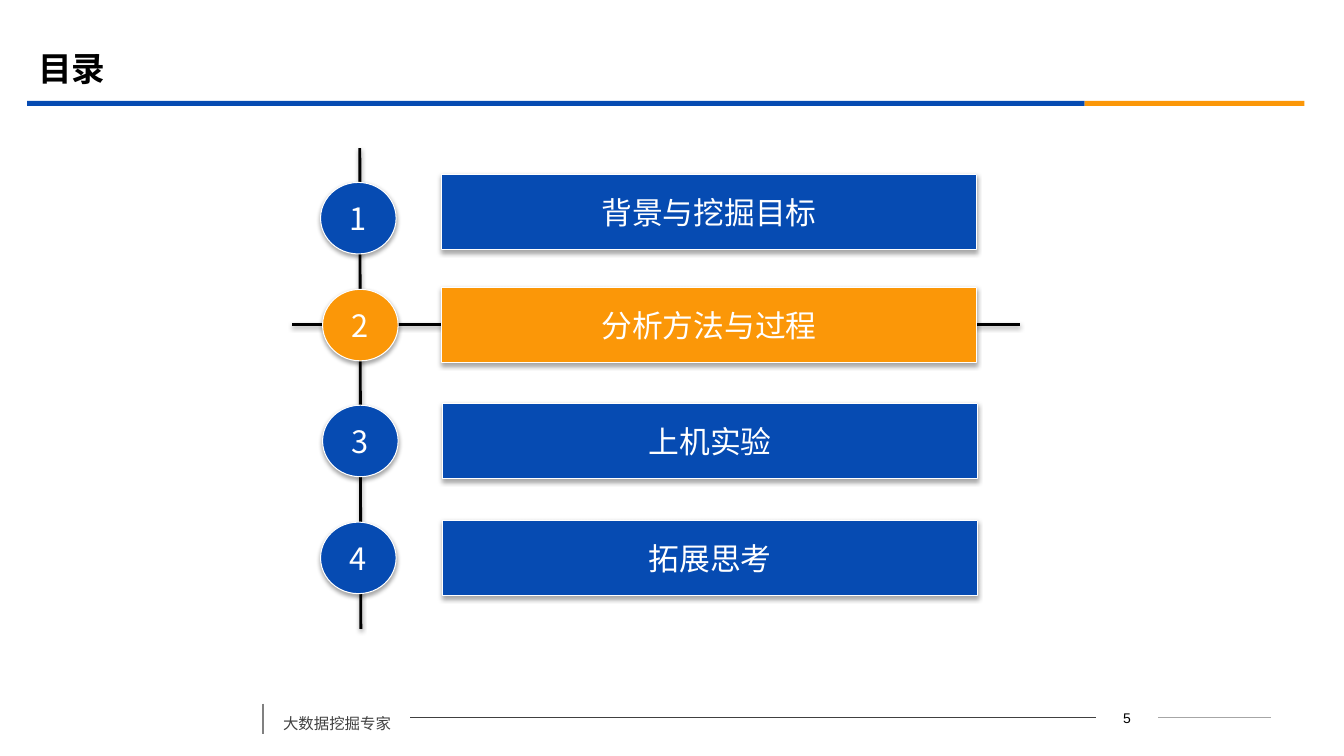
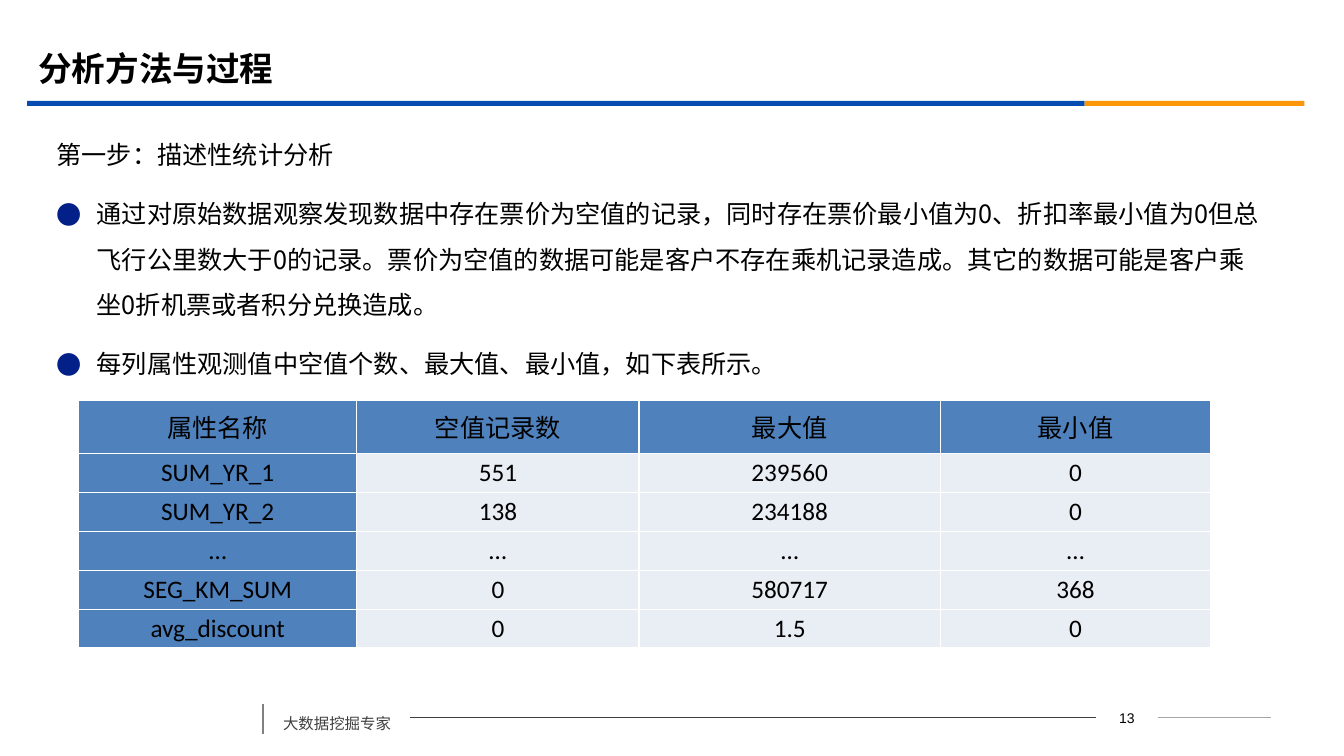
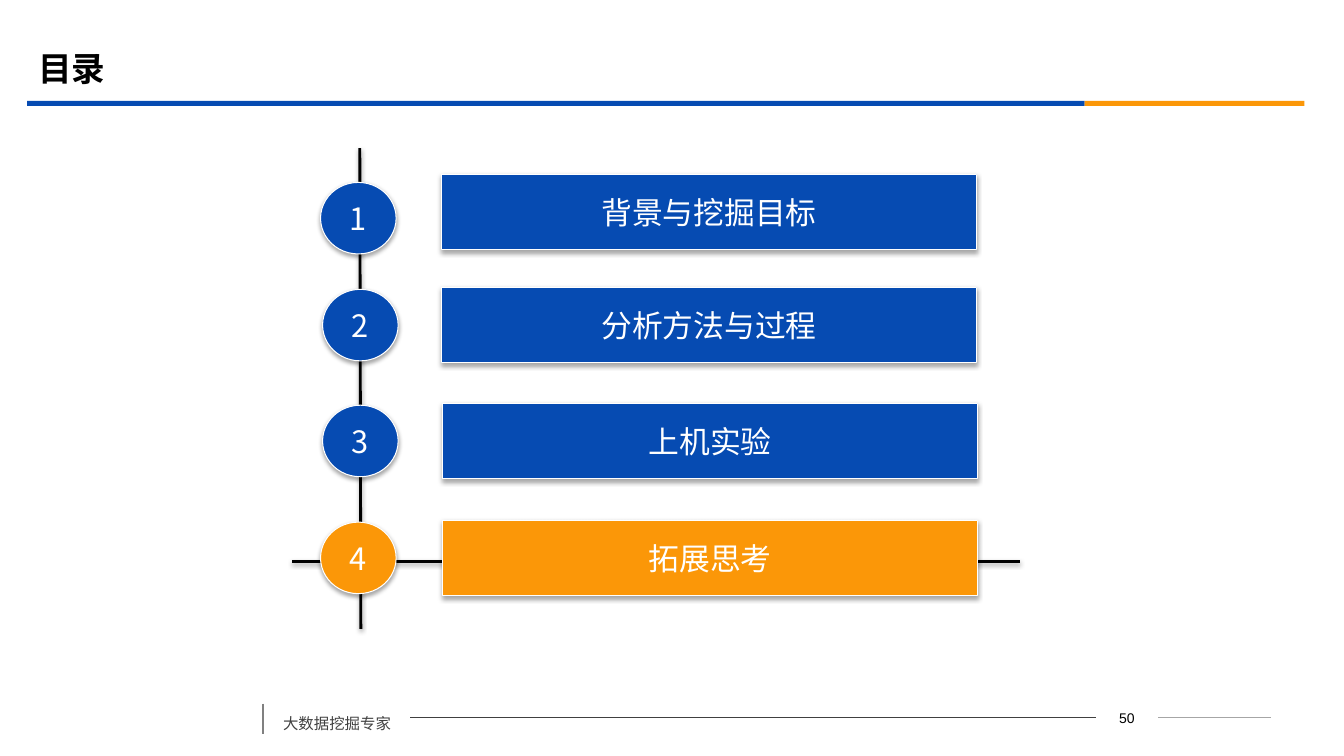
from pptx import Presentation, util as u
from pptx.dml.color import RGBColor
from pptx.enum import shapes, text
from pptx.oxml import parse_xml
from pptx.oxml.ns import nsdecls, qn

# Grid: 160 columns by 90 rows of square cells
COLUMNS, ROWS = 160, 90
CELL = u.Inches(7.5) / ROWS

# Shared style
BLUE, ORANGE, WHITE, BLACK = "064BB2", "FB9708", "FFFFFF", "000000"
DARK, GREY, SILVER = "404040", "808080", "A6A6A6"
BULLET, TABLE_HEAD, TABLE_BODY = "032089", "4F81BD", "E9EDF4"
SANS = "Noto Sans CJK SC"
LEFT, CENTER = text.PP_ALIGN.LEFT, text.PP_ALIGN.CENTER
MIDDLE = text.MSO_ANCHOR.MIDDLE

TITLE = {"size": u.Pt(24), "name": SANS, "bold": True}
BODY = {"size": u.Pt(18), "name": SANS}
AGENDA = {"size": u.Pt(22), "name": SANS}
LABEL = {"size": u.Pt(11), "name": SANS}
PAGE = {"size": u.Pt(10), "name": "Arial"}
CELL_TEXT = {"size": u.Pt(18), "name": "Calibri", "bold": False}

# Agenda entries: wording, box column and row, circle column and row
AGENDA_ITEMS = [
    ("背景与挖掘目标", 52.56, 20.76, 38.16, 21.72),
    ("分析方法与过程", 52.56, 34.2, 38.4, 34.44),
    ("上机实验", 52.68, 48, 38.4, 48.24),
    ("拓展思考", 52.68, 61.92, 38.16, 62.16),
]

STEP = "第一步：描述性统计分析"
FINDINGS = [
    "通过对原始数据观察发现数据中存在票价为空值的记录，同时存在票价最小值为0、折扣率最小值为0"
    "但总飞行公里数大于0的记录。票价为空值的数据可能是客户不存在乘机记录造成。"
    "其它的数据可能是客户乘坐0折机票或者积分兑换造成。",
    "每列属性观测值中空值个数、最大值、最小值，如下表所示。",
]
STATISTICS = [
    ("属性名称", "空值记录数", "最大值", "最小值"),
    ("SUM_YR_1", "551", "239560", "0"),
    ("SUM_YR_2", "138", "234188", "0"),
    ("…", "…", "…", "…"),
    ("SEG_KM_SUM", "0", "580717", "368"),
    ("avg_discount", "0", "1.5", "0"),
]


def color(value):
    return RGBColor.from_string(value)


def cells(*lengths):
    return [u.Emu(round(length * CELL)) for length in lengths]


def assign(target, values):
    for name, value in values.items():
        setattr(target, name, value)


class Deck:
    def __init__(self):
        self.presentation = Presentation()
        width, height = cells(COLUMNS, ROWS)
        assign(self.presentation, {"slide_width": width, "slide_height": height})
        self.slide = None

    def start(self, title, page, layout):
        """Add a slide with title, band and footer."""
        self.slide = self.presentation.slides.add_slide(
            self.presentation.slide_layouts[layout])
        # Band under the title
        self.shape(shapes.MSO_SHAPE.RECTANGLE, (3.24, 12, 125.88, 0.6), BLUE)
        self.shape(shapes.MSO_SHAPE.RECTANGLE, (129.12, 12, 26.16, 0.6), ORANGE)
        # Footer
        self.line((137.88, 85.44), (151.32, 85.44), SILVER, 0.75)
        self.line((48.84, 85.44), (130.44, 85.44), DARK, 0.75)
        self.line((31.32, 83.76), (31.32, 87.36), GREY, 1.25)
        self.textbox((32.52, 83.28, 16.32, 4.56), "大数据挖掘专家", LABEL, DARK, LEFT,
                     {"line_spacing": 1.5, "space_before": u.Pt(6)})
        self.textbox((130.44, 83.88, 7.44, 3), str(page), PAGE, BLACK, CENTER, {})
        # Title
        frame = self.place(self.slide.shapes.title, (3.36, 4.68, 144, 6.96))
        frame.vertical_anchor = MIDDLE
        self.add_words(frame.paragraphs[0], title, TITLE, BLACK, LEFT)

    def place(self, placeholder, box):
        assign(placeholder, dict(zip(("left", "top", "width", "height"), cells(*box))))
        frame = placeholder.text_frame
        assign(frame, {"auto_size": text.MSO_AUTO_SIZE.NONE, "word_wrap": True})
        return frame

    def add_words(self, paragraph, words, font, ink, align, spacing=None):
        run = paragraph.add_run()
        run.text = words
        assign(run.font, font)
        run.font.color.rgb = color(ink)
        east_asian = parse_xml(f'<a:ea {nsdecls("a")} typeface="{SANS}"/>')
        run.font._element.find(qn("a:latin")).addnext(east_asian)
        assign(paragraph, {"alignment": align, **(spacing or {})})

    def textbox(self, box, words, font, ink, align, spacing):
        frame = self.slide.shapes.add_textbox(*cells(*box)).text_frame
        frame.word_wrap = True
        self.add_words(frame.paragraphs[0], words, font, ink, align, spacing)

    def shadow(self, effects, distance, opacity):
        effects.append(parse_xml(
            f'<a:outerShdw {nsdecls("a")} blurRad="40000" dist="{distance}" '
            f'dir="5400000" rotWithShape="0"><a:srgbClr val="{BLACK}">'
            f'<a:alpha val="{opacity * 1000}"/></a:srgbClr></a:outerShdw>'))

    def shape(self, kind, box, fill):
        shape = self.slide.shapes.add_shape(kind, *cells(*box))
        shape.shadow.inherit = False
        shape.fill.solid()
        shape.fill.fore_color.rgb = color(fill)
        shape.line.fill.background()
        return shape

    def button(self, kind, box, words, fill):
        """Add a white-edged shape with a soft shadow and centred words."""
        shape = self.shape(kind, box, fill)
        shape.line.color.rgb = color(WHITE)
        shape.line.width = u.Pt(0.75)
        self.shadow(shape._element.spPr.find(qn("a:effectLst")), 23000, 35)
        frame = shape.text_frame
        assign(frame, {"word_wrap": False, "vertical_anchor": MIDDLE})
        self.add_words(frame.paragraphs[0], words, AGENDA, WHITE, CENTER)

    def line(self, start, end, ink, width, shadow=False):
        connector = self.slide.shapes.add_connector(
            shapes.MSO_CONNECTOR.STRAIGHT, *cells(*start, *end))
        connector.line.color.rgb = color(ink)
        connector.line.width = u.Pt(width)
        effects = parse_xml(f'<a:effectLst {nsdecls("a")}/>')
        connector._element.spPr.append(effects)
        if shadow:
            self.shadow(effects, 20000, 38)

    def body(self, box, heading, items):
        frame = self.place(self.slide.placeholders[1], box)
        spacing = {"line_spacing": 1.5, "space_before": u.Pt(10)}
        for index, words in enumerate([heading, *items]):
            paragraph = frame.add_paragraph() if index else frame.paragraphs[0]
            self.add_words(paragraph, words, BODY, BLACK, LEFT, spacing)
            self.bullet(paragraph, u.Inches(0.4) if index else 0)

    def bullet(self, paragraph, indent):
        properties = paragraph._p.get_or_add_pPr()
        properties.set("marL", str(indent))
        properties.set("indent", str(-indent))
        marks = ([f'buClr {nsdecls("a")}><a:srgbClr val="{BULLET}"/></a:buClr',
                  f'buFont {nsdecls("a")} typeface="{SANS}"/',
                  f'buChar {nsdecls("a")} char="●"/']
                 if indent else [f'buNone {nsdecls("a")}/'])
        for mark in marks:
            properties.append(parse_xml(f"<a:{mark}>"))

    def table(self, corner, widths, heights, rows):
        table = self.slide.shapes.add_table(
            len(rows), len(widths), *cells(*corner, sum(widths), sum(heights))).table
        for column, width in zip(table.columns, cells(*widths)):
            column.width = width
        for row, height in zip(table.rows, cells(*heights)):
            row.height = height
        for row_index, row in enumerate(rows):
            for column_index, words in enumerate(row):
                head = row_index == 0 or column_index == 0
                self.cell(table.cell(row_index, column_index), words,
                          TABLE_HEAD if head else TABLE_BODY)

    def cell(self, cell, words, fill):
        assign(cell, {"vertical_anchor": MIDDLE, "margin_top": 0, "margin_bottom": 0,
                      "margin_left": u.Inches(0.07), "margin_right": u.Inches(0.07)})
        properties = cell._tc.get_or_add_tcPr()
        for side in "LRTB":
            properties.append(parse_xml(
                f'<a:ln{side} {nsdecls("a")} w="12700"><a:solidFill>'
                f'<a:srgbClr val="{WHITE}"/></a:solidFill></a:ln{side}>'))
        cell.fill.solid()
        cell.fill.fore_color.rgb = color(fill)
        self.add_words(cell.text_frame.paragraphs[0], words, CELL_TEXT, BLACK, CENTER)

    def agenda(self, page, active, crossbar_row):
        """Add a contents slide that highlights the active entry."""
        self.start("目录", page, layout=5)
        self.line((42.84, 17.64), (42.96, 74.88), BLACK, 2, shadow=True)
        self.line((34.8, crossbar_row), (121.44, crossbar_row), BLACK, 2, shadow=True)
        for number, (words, box_x, box_y, dot_x, dot_y) in enumerate(AGENDA_ITEMS, 1):
            fill = ORANGE if number == active else BLUE
            self.button(shapes.MSO_SHAPE.ACTION_BUTTON_CUSTOM,
                        (box_x, box_y, 63.72, 9), words, fill)
            self.button(shapes.MSO_SHAPE.OVAL,
                        (dot_x, dot_y, 9, 8.52), str(number), fill)


def main():
    deck = Deck()
    # Contents: method
    deck.agenda(5, active=2, crossbar_row=38.64)
    # Descriptive statistics
    deck.start("分析方法与过程", 13, layout=1)
    deck.body((5.52, 14.16, 145.8, 66.24), STEP, FINDINGS)
    deck.table((9.36, 47.64), (33.12, 33.6, 35.88, 32.16),
               [6.36] + [4.63] * 5, STATISTICS)
    # Contents: further thoughts
    deck.agenda(50, active=4, crossbar_row=66.84)
    deck.presentation.save("out.pptx")


if __name__ == "__main__":
    main()
